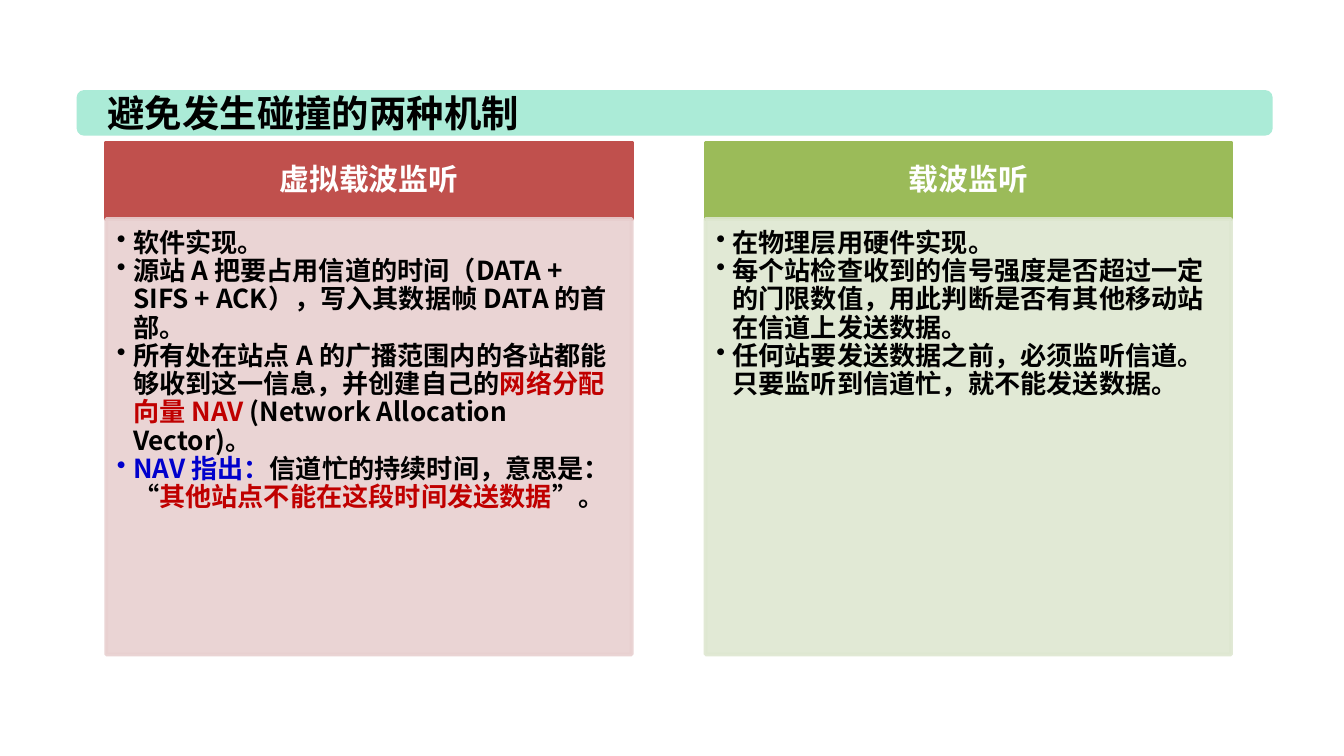
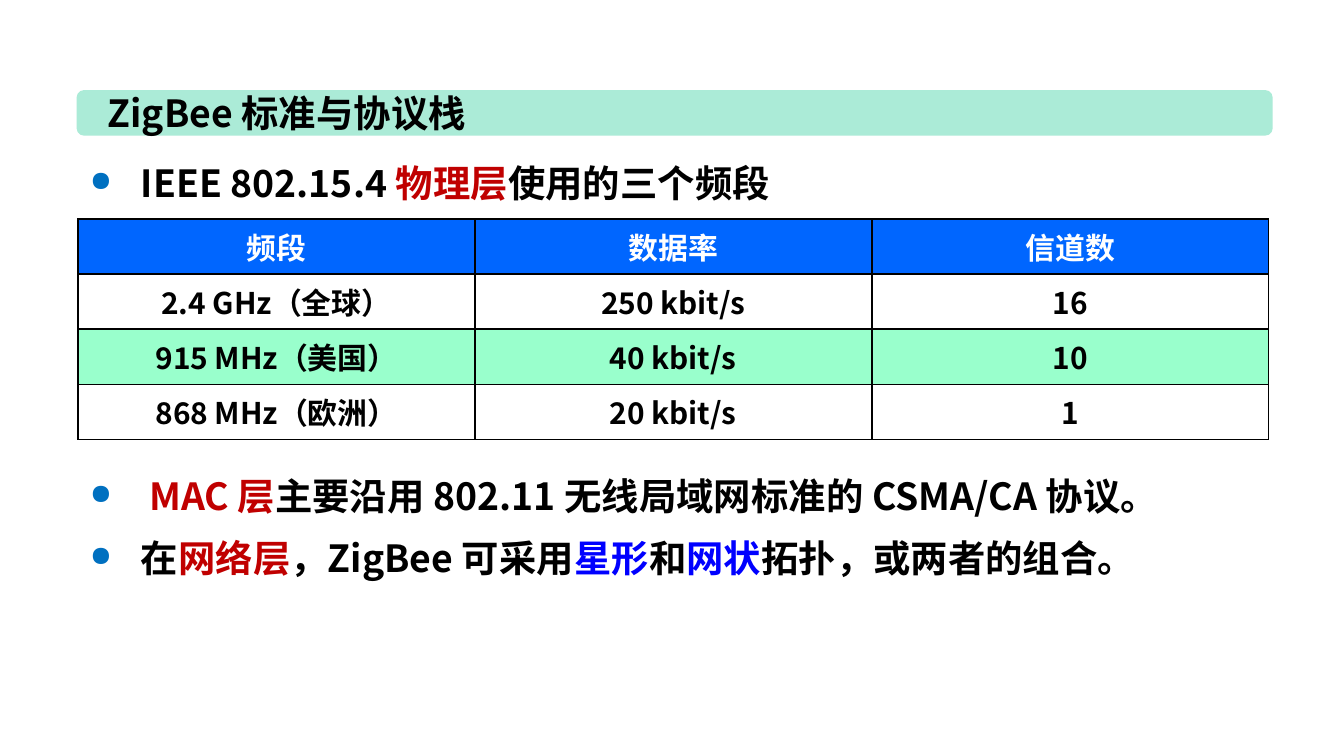
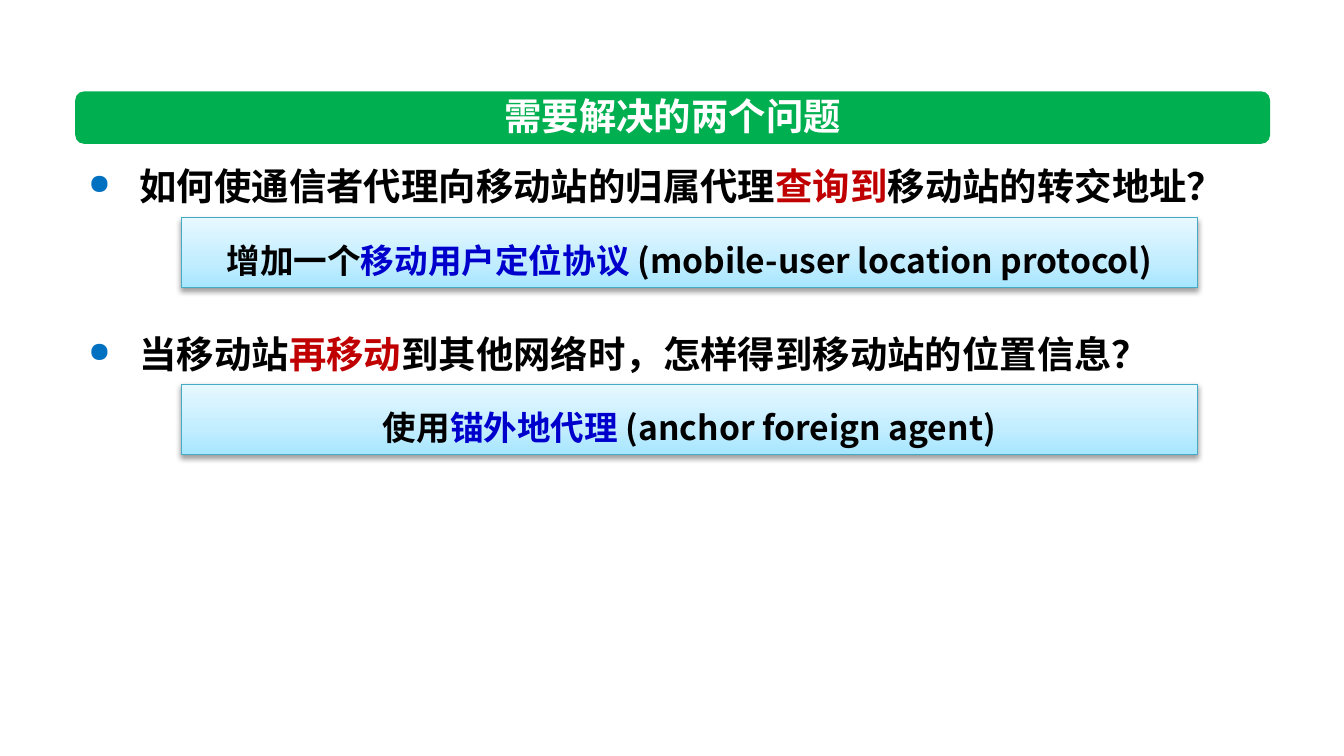
from copy import deepcopy
from dataclasses import dataclass
from typing import Any, NamedTuple, Optional, Union

from lxml.etree import SubElement
from pptx import Presentation
from pptx.dml.color import RGBColor
from pptx.enum.shapes import MSO_SHAPE
from pptx.enum.text import MSO_ANCHOR, MSO_AUTO_SIZE, PP_ALIGN
from pptx.oxml.ns import qn
from pptx.util import Inches, Length, Pt


@dataclass(frozen=True)
class Theme:
    font: str = "Noto Sans CJK SC"
    black: str = "000000"
    white: str = "FFFFFF"
    red: str = "C00000"
    navy: str = "0000CC"
    blue: str = "0000FF"
    bullet: str = "0070C0"
    mint: str = "ABEBD7"
    green: str = "00B050"
    table_head: str = "0066FF"
    table_stripe: str = "99FFCC"
    answer_line: str = "46AAC5"
    answer_stops: tuple = ((0, "A7E6FF"), (0.35, "C1EDFF"), (1, "E7F8FF"))
    title_size: Length = Pt(20)
    point_size: Length = Pt(20)
    answer_size: Length = Pt(18)
    heading_size: Length = Pt(16)
    detail_size: Length = Pt(14)


THEME = Theme()


class Span(NamedTuple):
    text: str
    color: str = THEME.black


class Bullet(NamedTuple):
    mark: str
    indent: Length
    percent: int = 100
    color: Optional[str] = None


class Area(NamedTuple):
    left: float
    top: float
    width: float
    height: float

    def lengths(self) -> list[Length]:
        return [Inches(value) for value in self]


class Title(NamedTuple):
    text: str
    area: Area
    band: Area
    fill: str = THEME.mint
    color: str = THEME.black
    align: PP_ALIGN = PP_ALIGN.LEFT


class Panel(NamedTuple):
    left: float
    heading: str
    strong: str
    pale: str
    points: list


class Answer(NamedTuple):
    top: float
    spans: list


Line = Union[str, list]
POINT_BULLET = Bullet("●", Inches(0.38), 75, THEME.bullet)
DETAIL_BULLET = Bullet("•", Inches(0.12))


def rgb(value: str) -> RGBColor:
    return RGBColor.from_string(value)


def apply(target: Any, values: dict) -> None:
    for name, value in values.items():
        setattr(target, name, value)


def margins(left: float, top: float, right: float, bottom: float) -> dict:
    sides = ("left", "top", "right", "bottom")
    return {f"margin_{side}": Inches(value) for side, value in zip(sides, (left, top, right, bottom))}


def add_bullet(para: Any, bullet: Bullet) -> None:
    properties = para._p.get_or_add_pPr()
    properties.set("marL", str(bullet.indent))
    properties.set("indent", str(-bullet.indent))
    if bullet.color:
        color = SubElement(properties, qn("a:buClr"))
        SubElement(color, qn("a:srgbClr"), val=bullet.color)
    SubElement(properties, qn("a:buSzPct"), val=str(bullet.percent * 1000))
    SubElement(properties, qn("a:buChar"), char=bullet.mark)


def write(frame: Any, lines: list[Line], size: Length, para_format: dict,
          bullet: Optional[Bullet] = None, gap: Optional[Length] = None) -> None:
    for index, line in enumerate(lines):
        para = frame.add_paragraph() if index else frame.paragraphs[0]
        if bullet:
            add_bullet(para, bullet)
        apply(para, para_format)
        if index and gap:
            para.space_before = gap
        for part in [Span(line)] if isinstance(line, str) else line:
            span = para.add_run()
            span.text = part.text
            apply(span.font, {"name": THEME.font, "size": size, "bold": True})
            span.font.color.rgb = rgb(part.color)
            SubElement(span.font._element, qn("a:ea"), typeface=THEME.font)


def add_box(page: Any, kind: MSO_SHAPE, area: Area, fill: str) -> Any:
    box = page.shapes.add_shape(kind, *area.lengths())
    box.shadow.inherit = False
    box.fill.solid()
    box.fill.fore_color.rgb = rgb(fill)
    box.line.fill.background()
    return box


def add_page(deck: Any, title: Title) -> Any:
    page = deck.slides.add_slide(deck.slide_layouts[5])
    band = add_box(page, MSO_SHAPE.ROUNDED_RECTANGLE, title.band, title.fill)
    holder = page.shapes.title
    holder.element.addprevious(band.element)
    apply(holder, dict(zip(("left", "top", "width", "height"), title.area.lengths())))
    apply(holder.text_frame, {"word_wrap": False, "auto_size": MSO_AUTO_SIZE.NONE,
                              "vertical_anchor": MSO_ANCHOR.MIDDLE})
    write(holder.text_frame, [[Span(title.text, title.color)]], THEME.title_size, {"alignment": title.align})
    return page


def add_points(page: Any, area: Area, lines: list[Line], spacing: Length,
               gap: Optional[Length] = None) -> None:
    frame = page.shapes.add_textbox(*area.lengths()).text_frame
    frame.word_wrap = True
    write(frame, lines, THEME.point_size, {"line_spacing": spacing}, POINT_BULLET, gap)


def add_panel(page: Any, panel: Panel) -> None:
    width, top, head_height, body_height = 3.91, 1.06, 0.57, 3.24
    head = add_box(page, MSO_SHAPE.RECTANGLE, Area(panel.left, top, width, head_height), panel.strong)
    body = add_box(page, MSO_SHAPE.RECTANGLE, Area(panel.left, top + head_height, width, body_height), panel.pale)
    for box, color in ((head, panel.strong), (body, panel.pale)):
        box.line.width = Pt(2)
        box.line.color.rgb = rgb(color)
    for color in body.element.spPr.iter(qn("a:srgbClr")):
        SubElement(color, qn("a:alpha"), val="90000")
    apply(head.text_frame, {"word_wrap": True, "vertical_anchor": MSO_ANCHOR.MIDDLE,
                            **margins(0.12, 0.07, 0.12, 0.07)})
    apply(body.text_frame, {"word_wrap": True, "vertical_anchor": MSO_ANCHOR.TOP,
                            **margins(0.08, 0.08, 0.11, 0.12)})
    write(head.text_frame, [[Span(panel.heading, THEME.white)]], THEME.heading_size,
          {"alignment": PP_ALIGN.CENTER, "line_spacing": 0.9})
    write(body.text_frame, panel.points, THEME.detail_size,
          {"alignment": PP_ALIGN.LEFT, "line_spacing": 0.9}, DETAIL_BULLET)


def add_borders(cell: Any) -> None:
    properties = cell._tc.get_or_add_tcPr()
    for side in ("lnL", "lnR", "lnT", "lnB"):
        border = SubElement(properties, qn(f"a:{side}"), w=str(Pt(1)))
        fill = SubElement(border, qn("a:solidFill"))
        SubElement(fill, qn("a:srgbClr"), val=THEME.black)


def add_band_table(page: Any, area: Area, rows: list[tuple[str, ...]]) -> None:
    table = page.shapes.add_table(len(rows), len(rows[0]), *area.lengths()).table
    apply(table, {"first_row": False, "horz_banding": False})
    fills = (THEME.table_head, THEME.white, THEME.table_stripe, THEME.white)
    for row_index, (values, fill) in enumerate(zip(rows, fills)):
        color = THEME.black if row_index else THEME.white
        for column_index, value in enumerate(values):
            cell = table.cell(row_index, column_index)
            apply(cell, {"vertical_anchor": MSO_ANCHOR.MIDDLE, **margins(0.07, 0, 0.07, 0)})
            add_borders(cell)
            cell.fill.solid()
            cell.fill.fore_color.rgb = rgb(fill)
            write(cell.text_frame, [[Span(value, color)]], THEME.heading_size, {"alignment": PP_ALIGN.CENTER})


def add_answer(page: Any, answer: Answer) -> None:
    box = add_box(page, MSO_SHAPE.RECTANGLE, Area(1.35, answer.top, 7.56, 0.52), THEME.white)
    box.fill.gradient()
    box.fill.gradient_angle = 90
    stops = box.element.spPr.find(".//" + qn("a:gsLst"))
    stops.append(deepcopy(stops[0]))
    for stop, (position, color) in zip(box.fill.gradient_stops, THEME.answer_stops):
        stop.position = position
        stop.color.rgb = rgb(color)
    box.line.width = Pt(0.75)
    box.line.color.rgb = rgb(THEME.answer_line)
    effects = box.element.spPr.find(qn("a:effectLst"))
    shadow = SubElement(effects, qn("a:outerShdw"), blurRad=str(Pt(3.1)), dist=str(Pt(1.6)),
                        dir="5400000", rotWithShape="0")
    color = SubElement(shadow, qn("a:srgbClr"), val=THEME.black)
    SubElement(color, qn("a:alpha"), val="38000")
    apply(box.text_frame, {"word_wrap": True, "vertical_anchor": MSO_ANCHOR.MIDDLE})
    write(box.text_frame, [answer.spans], THEME.answer_size,
          {"alignment": PP_ALIGN.CENTER, "line_spacing": Pt(30)})


def build_collision_page(deck: Any) -> None:
    page = add_page(deck, Title("避免发生碰撞的两种机制", Area(0.7, 0.62, 3.39, 0.44), Area(0.57, 0.67, 8.9, 0.34)))
    panels = [
        Panel(0.79, "虚拟载波监听", "C0504D", "E8D0D0", [
            "软件实现。",
            "源站 A 把要占用信道的时间（DATA + SIFS + ACK），写入其数据帧 DATA 的首部。",
            [Span("所有处在站点 A 的广播范围内的各站都能够收到这一信息，并创建自己的"),
             Span("网络分配向量 NAV ", THEME.red),
             Span("(Network Allocation Vector)。")],
            [Span("NAV 指出：", THEME.navy),
             Span("信道忙的持续时间，意思是：“"),
             Span("其他站点不能在这段时间发送数据", THEME.red),
             Span("”。")],
        ]),
        Panel(5.25, "载波监听", "9BBB59", "DEE7D1", [
            "在物理层用硬件实现。",
            "每个站检查收到的信号强度是否超过一定的门限数值，用此判断是否有其他移动站在信道上发送数据。",
            "任何站要发送数据之前，必须监听信道。只要监听到信道忙，就不能发送数据。",
        ]),
    ]
    for panel in panels:
        add_panel(page, panel)


def build_zigbee_page(deck: Any) -> None:
    page = add_page(deck, Title("ZigBee 标准与协议栈", Area(0.7, 0.62, 3.02, 0.44), Area(0.57, 0.67, 8.9, 0.34)))
    add_points(page, Area(0.57, 1.02, 9.04, 0.56), [
        [Span("IEEE 802.15.4 "), Span("物理层", THEME.red), Span("使用的三个频段")],
    ], Pt(33))
    add_points(page, Area(0.57, 3.35, 9.17, 1.03), [
        [Span(" "), Span("MAC 层", THEME.red), Span("主要沿用 802.11 无线局域网标准的 CSMA/CA 协议。")],
        [Span("在"), Span("网络层", THEME.red), Span("，ZigBee 可采用"), Span("星形", THEME.blue),
         Span("和"), Span("网状", THEME.blue), Span("拓扑，或两者的组合。")],
    ], Pt(33))
    add_band_table(page, Area(0.58, 1.63, 8.86, 1.64), [
        ("频段", "数据率", "信道数"),
        ("2.4 GHz（全球）", "250 kbit/s", "16"),
        ("915 MHz（美国）", "40 kbit/s", "10"),
        ("868 MHz（欧洲）", "20 kbit/s", "1"),
    ])


def build_problem_page(deck: Any) -> None:
    page = add_page(deck, Title("需要解决的两个问题", Area(3.61, 0.64, 2.79, 0.44), Area(0.56, 0.68, 8.89, 0.39),
                                THEME.green, THEME.white, PP_ALIGN.CENTER))
    add_points(page, Area(0.56, 1.08, 8.89, 1.78), [
        [Span("如何使通信者代理向移动站的归属代理"), Span("查询到", THEME.red), Span("移动站的转交地址？")],
        [Span("当移动站"), Span("再移动", THEME.red), Span("到其他网络时，怎样得到移动站的位置信息？")],
    ], Pt(30), gap=Pt(60))
    answers = [
        Answer(1.62, [Span("增加一个"), Span("移动用户定位协议 ", THEME.navy),
                      Span("(mobile-user location protocol)")]),
        Answer(2.86, [Span("使用"), Span("锚外地代理 ", THEME.navy), Span("(anchor foreign agent)")]),
    ]
    for answer in answers:
        add_answer(page, answer)


def main() -> None:
    deck = Presentation()
    apply(deck, {"slide_width": Inches(10), "slide_height": Inches(10 * 9 / 16)})
    for build in (build_collision_page, build_zigbee_page, build_problem_page):
        build(deck)
    deck.save("out.pptx")


if __name__ == "__main__":
    main()
